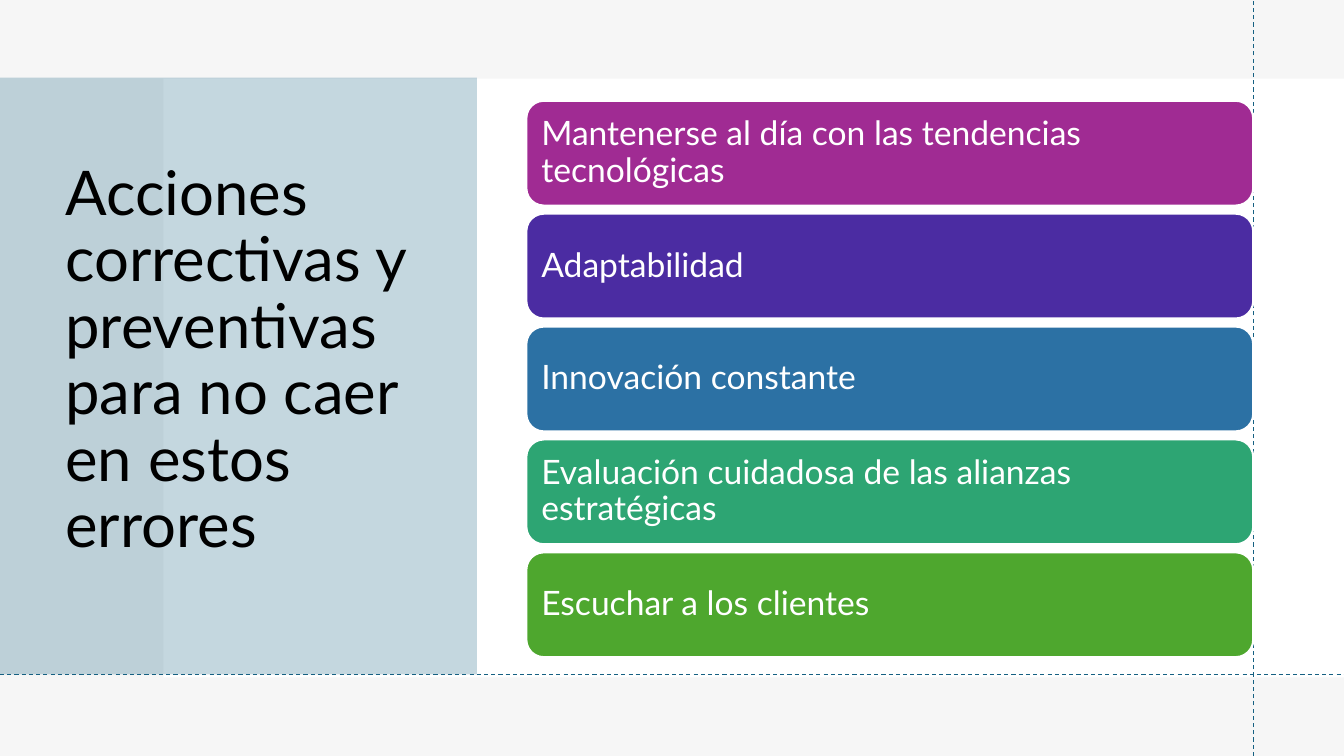
"""Build a slide listing corrective and preventive actions as five coloured cards."""
from lxml import etree
from pptx import Presentation
from pptx.dml.color import RGBColor
from pptx.enum.dml import MSO_LINE
from pptx.enum.shapes import MSO_CONNECTOR, MSO_SHAPE
from pptx.enum.text import MSO_ANCHOR, PP_ALIGN
from pptx.oxml.ns import qn
from pptx.util import Inches, Pt

RECTANGLE = MSO_SHAPE.RECTANGLE
ROUNDED = MSO_SHAPE.ROUNDED_RECTANGLE
STRAIGHT = MSO_CONNECTOR.STRAIGHT
DASH = MSO_LINE.DASH
MIDDLE = MSO_ANCHOR.MIDDLE
LEFT = PP_ALIGN.LEFT

WHITE, BLACK, GREY, TEAL = "FFFFFF", "000000", "E8E8E8", "156082"
CARD_TOP, CARD_HEIGHT, CARD_STEP = 1, 1.04, 1.12


def color(code):
    return RGBColor.from_string(code)


def write(shape, text, size, code):
    frame = shape.text_frame
    frame.text = text
    frame.word_wrap = True
    frame.vertical_anchor = MIDDLE
    para = frame.paragraphs[0]
    para.alignment = LEFT
    para.line_spacing = 0.9
    font = para.runs[0].font
    font.name = "Lato"
    font.size = Pt(size)
    font.color.rgb = color(code)
    return frame


deck = Presentation()
deck.slide_width, deck.slide_height = Inches(13.33), Inches(7.5)
page = deck.slides.add_slide(deck.slide_layouts[6])
page.background.fill.solid()
page.background.fill.fore_color.rgb = color("F7F7F7")

backdrops = [
    (0, 0, 13.33, 7.5, WHITE, 100),
    (0, 0, 13.33, 7.5, GREY, 35),
    (1.62, 0.78, 11.71, 5.94, WHITE, 100),
    (0, 0.77, 4.73, 5.92, TEAL, 25),
]
for left, top, width, height, code, opacity in backdrops:
    panel = page.shapes.add_shape(
        RECTANGLE, Inches(left), Inches(top), Inches(width), Inches(height)
    )
    panel.shadow.inherit = False
    panel.line.fill.background()
    panel.fill.solid()
    panel.fill.fore_color.rgb = color(code)
    if opacity < 100:
        tint = panel.fill._xPr.find(qn("a:solidFill"))[0]
        etree.SubElement(tint, qn("a:alpha"), val=str(opacity * 1000))

title = page.shapes.add_textbox(Inches(0.55), Inches(0.74), Inches(3.95), Inches(5.69))
write(title, "Acciones correctivas y preventivas para no caer en estos errores", 44, BLACK)

guides = [(12.43, 7.5, 12.43, 0), (0, 6.69, 13.33, 6.69)]
for start_x, start_y, end_x, end_y in guides:
    guide = page.shapes.add_connector(
        STRAIGHT, Inches(start_x), Inches(start_y), Inches(end_x), Inches(end_y)
    )
    guide.line.color.rgb = color(TEAL)
    guide.line.width = Pt(0.75)
    guide.line.dash_style = DASH
    etree.SubElement(guide._element.spPr, qn("a:effectLst"))

actions = [
    ("Mantenerse al día con las tendencias tecnológicas", "A02B93"),
    ("Adaptabilidad", "4B2CA2"),
    ("Innovación constante", "2C71A4"),
    ("Evaluación cuidadosa de las alianzas estratégicas", "2DA573"),
    ("Escuchar a los clientes", "4EA72E"),
]
for row, (action, code) in enumerate(actions):
    card = page.shapes.add_shape(
        ROUNDED, Inches(5.22), Inches(CARD_TOP + row * CARD_STEP),
        Inches(7.21), Inches(CARD_HEIGHT),
    )
    card.shadow.inherit = False
    card.fill.solid()
    card.fill.fore_color.rgb = color(code)
    card.line.color.rgb = color(WHITE)
    card.line.width = Pt(1.5)
    frame = write(card, action, 24, WHITE)
    frame.margin_left = frame.margin_right = Inches(0.1)
    frame.margin_top = frame.margin_bottom = Inches(0.1)

deck.save("out.pptx")
